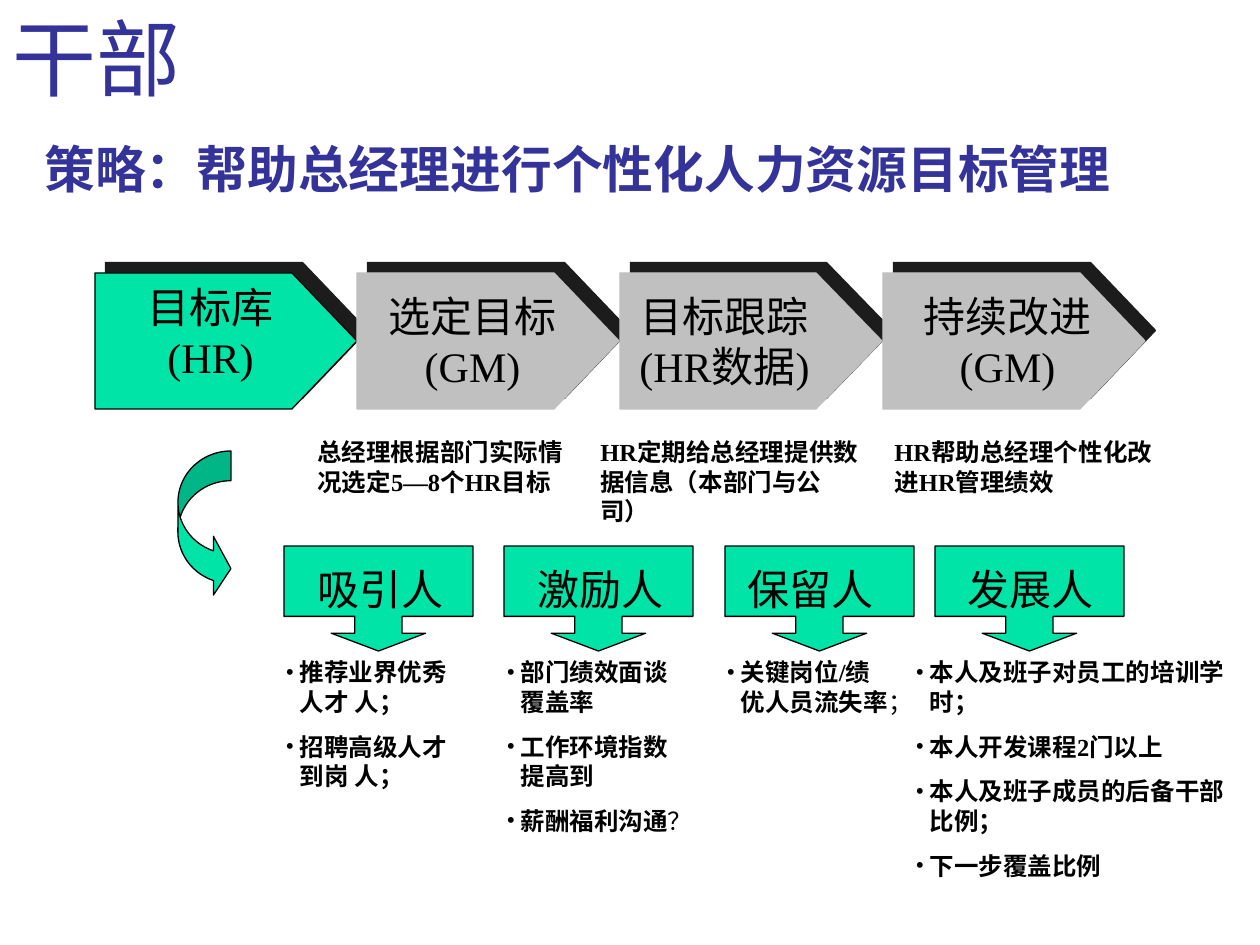
import dataclasses

import lxml.etree
import pptx
import pptx.dml.color
import pptx.enum.lang
import pptx.enum.shapes
import pptx.enum.text
import pptx.oxml.ns
import pptx.util

ALIGN = pptx.enum.text.PP_ALIGN
SHAPE = pptx.enum.shapes.MSO_SHAPE


@dataclasses.dataclass(frozen=True)
class Theme:
    """Colours, fonts and type sizes of the slide."""
    navy: str = "333399"
    green: str = "00E4A8"
    grey: str = "C0C0C0"
    black: str = "000000"
    shadow: str = "1C1C1C"
    serif: str = "Times New Roman"
    heading: str = "Lato"
    strategy: str = "Noto Sans CJK SC"
    east_asian: str = "Lato"
    title_pt: int = 48
    strategy_pt: int = 29
    label_pt: int = 24
    body_pt: int = 14
    line_pt: float = 0.75


class SlideBuilder:
    """Holds the theme and the current slide and draws its elements."""

    SCALE = 914400 / 126

    def __init__(self, slide, theme):
        """Keep the slide and the theme."""
        self.slide = slide
        self.theme = theme

    @classmethod
    def emu(cls, px):
        """Turn px into EMU."""
        return pptx.util.Emu(round(px * cls.SCALE))

    def rgb(self, value):
        """Turn a hex string into a colour."""
        return pptx.dml.color.RGBColor.from_string(value)

    def child(self, parent, tag, **attrs):
        """Append a DrawingML element to a parent."""
        e = lxml.etree.SubElement(parent, pptx.oxml.ns.qn(tag))
        for key, value in attrs.items():
            e.set(key, str(value))
        return e

    def style_run(self, r, size, font=None, color=None, bold=False):
        """Format one run."""
        r.font.size = pptx.util.Pt(size)
        r.font.name = font or self.theme.serif
        r.font.bold = bold
        r.font.color.rgb = self.rgb(color or self.theme.black)
        r.font.language_id = pptx.enum.lang.MSO_LANGUAGE_ID.SIMPLIFIED_CHINESE
        latin = r.font._element.find(pptx.oxml.ns.qn("a:latin"))
        ea = lxml.etree.Element(pptx.oxml.ns.qn("a:ea"), typeface=self.theme.east_asian)
        latin.addnext(ea)

    def frame(self, sp, box):
        """Place a text holder and prepare its text frame."""
        sp.left, sp.top, sp.width, sp.height = map(self.emu, box)
        tf = sp.text_frame
        tf.word_wrap = True
        tf.auto_size = pptx.enum.text.MSO_AUTO_SIZE.NONE
        tf.vertical_anchor = pptx.enum.text.MSO_ANCHOR.TOP
        return tf

    def paragraph(self, tf, text, size, align=ALIGN.LEFT, **style):
        """Fill the first paragraph of a text frame."""
        p = tf.paragraphs[0]
        p.text = text
        p.alignment = align
        for r in p.runs:
            self.style_run(r, size, **style)
        return p

    def title(self, box, text):
        """Fill the title placeholder."""
        t = self.theme
        tf = self.frame(self.slide.shapes.title, box)
        self.paragraph(tf, text, t.title_pt, font=t.heading, color=t.navy)

    def text(self, box, text, size, **style):
        """Add a text box with one paragraph."""
        sp = self.slide.shapes.add_textbox(*map(self.emu, box))
        return self.paragraph(self.frame(sp, box), text, size, **style)

    def bullets(self, sp, box, items):
        """Fill a body placeholder with (text, light tail) bullets."""
        tf = self.frame(sp, box)
        for i, (text, tail) in enumerate(items):
            p = tf.paragraphs[0] if i == 0 else tf.add_paragraph()
            p.text = text
            p.alignment = ALIGN.LEFT
            p.space_before = pptx.util.Pt(8.8 if i else 0)
            pPr = p._p.get_or_add_pPr()
            indent = self.emu(14)
            pPr.set("marL", str(indent))
            pPr.set("indent", str(-indent))
            self.child(self.child(pPr, "a:buClr"), "a:srgbClr", val=self.theme.black)
            self.child(pPr, "a:buFont", typeface=self.theme.serif)
            self.child(pPr, "a:buChar", char="•")
            self.style_run(p.runs[0], self.theme.body_pt, bold=True)
            if tail:
                r = p.add_run()
                r.text = tail
                self.style_run(r, self.theme.body_pt)

    def paint(self, sp, fill, line):
        """Set fill and outline and drop the inherited shadow."""
        sp.shadow.inherit = False
        sp.fill.solid()
        sp.fill.fore_color.rgb = self.rgb(fill)
        sp.line.color.rgb = self.rgb(line)
        sp.line.width = pptx.util.Pt(self.theme.line_pt)

    def shape(self, kind, box, adjustments):
        """Add a green preset shape."""
        sp = self.slide.shapes.add_shape(kind, *map(self.emu, box))
        for i, value in enumerate(adjustments):
            sp.adjustments[i] = value
        self.paint(sp, self.theme.green, self.theme.black)

    def step(self, box, fill, line):
        """Add a pointed step with a hard shadow up to the right."""
        x, y, w, h = box
        shoulder = x + w * 3 / 4
        fb = self.slide.shapes.build_freeform(x, y, scale=self.SCALE)
        fb.add_line_segments([(shoulder, y), (x + w, y + h / 2),
                              (shoulder, y + h), (x, y + h)], close=True)
        sp = fb.convert_to_shape()
        self.paint(sp, fill, line)
        effects = sp._element.spPr.find(pptx.oxml.ns.qn("a:effectLst"))
        shadow = self.child(effects, "a:outerShdw", blurRad=0, dist=pptx.util.Pt(8.5),
                            dir=315 * 60000, algn="ctr", rotWithShape=0)
        self.child(shadow, "a:srgbClr", val=self.theme.shadow)


STEPS = [("目标库\n(HR)", 95, 275), ("选定目标\n(GM)", 357, 284),
         ("目标跟踪(HR数据)", 609, 284), ("持续改进\n(GM)", 892, 284)]
CAPTIONS = [("总经理根据部门实际情况选定5—8个HR目标", 305, 72),
            ("HR定期给总经理提供数据信息（本部门与公司）", 588, 101),
            ("HR帮助总经理个性化改进HR管理绩效", 882, 72)]
GOALS = [
    ("吸引人", 284, 305, (273, 210),
     [("推荐业界优秀人才 人；", ""), ("招聘高级人才到岗 人；", "")]),
    ("激励人", 504, 525, (494, 189),
     [("部门绩效面谈覆盖率", ""), ("工作环境指数提高到", ""), ("薪酬福利沟通", "？")]),
    ("保留人", 725, 735, (714, 189), [("关键岗位/绩优人员流失率", "；")]),
    ("发展人", 935, 955, (903, 357),
     [("本人及班子对员工的培训学时；", ""), ("本人开发课程2门以上", ""),
      ("本人及班子成员的后备干部比例；", ""), ("下一步覆盖比例", "")]),
]


def main():
    """Build the slide and save it."""
    prs = pptx.Presentation()
    prs.slide_width = SlideBuilder.emu(1260)
    prs.slide_height = SlideBuilder.emu(945)
    slide = prs.slides.add_slide(prs.slide_layouts.get_by_name("Comparison"))
    t = Theme()
    b = SlideBuilder(slide, t)

    b.title((0, 0, 1222, 77), "干部")
    p = b.text((32, 116, 1177, 89), "策略：帮助总经理进行个性化人力资源目标管理",
               t.strategy_pt, font=t.strategy, color=t.navy, bold=True)
    p.line_spacing = 1.25

    for i, (text, x, y) in enumerate(STEPS):
        fill, line = (t.grey, t.grey) if i else (t.green, t.black)
        b.step((95 + round(262.5 * i), 273, 262, 136), fill, line)
        b.text((x, y, 231, 113), text, t.label_pt, align=ALIGN.CENTER)

    b.shape(SHAPE.CURVED_RIGHT_ARROW, (178, 451, 53, 147), (0.56, 1.11, 0.33))

    bodies = [sp for sp in slide.placeholders if sp.placeholder_format.idx]
    for sp, (name, x, label_x, (list_x, list_w), items) in zip(bodies, GOALS):
        b.shape(SHAPE.DOWN_ARROW_CALLOUT, (x, 546, 189, 105), (0.45, 0.45, 0.17, 0.67))
        b.text((label_x, 557, 168, 63), name, t.label_pt)
        b.bullets(sp, (list_x, 651, list_w, 260), items)

    for text, x, h in CAPTIONS:
        b.text((x, 431, 294, h), text, t.body_pt, bold=True)

    prs.save("out.pptx")


if __name__ == "__main__":
    main()
